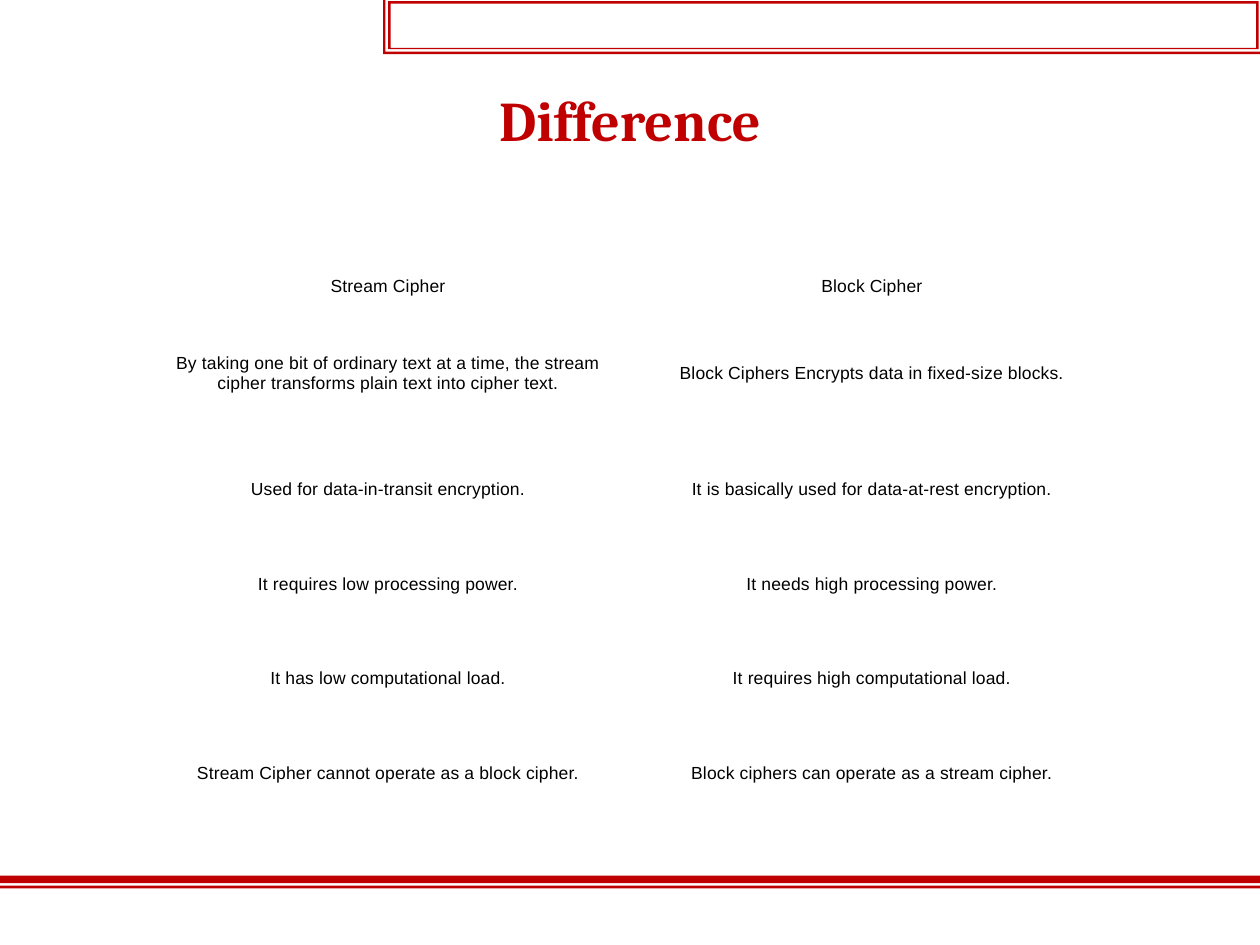
import pptx
import pptx.dml.color
import pptx.enum.text
import pptx.util
from dataclasses import dataclass

Inches = pptx.util.Inches
Anchor = pptx.enum.text.MSO_ANCHOR


@dataclass(frozen=True)
class Theme:
    accent: str = "C00000"
    ink: str = "000000"
    title_font: str = "Cambria"
    body_font: str = "Arial"
    title_size: int = 32
    body_size: int = 10


THEME = Theme()


def write_text(frame, text, *, font, size, color, bold=False, spacing=None):
    """Put one centred paragraph in a text frame."""
    paragraph = frame.paragraphs[0]
    paragraph.alignment = pptx.enum.text.PP_ALIGN.CENTER
    run = paragraph.add_run()
    run.text = text
    run.font.name = font
    run.font.size = pptx.util.Pt(size)
    run.font.bold = bold
    run.font.color.rgb = pptx.dml.color.RGBColor.from_string(color)
    if spacing is not None:
        run.font._element.set("spc", str(round(spacing * 100)))


def rectangle(left, top, right, bottom):
    return [(left, top), (right, top), (right, bottom), (left, bottom)]


class SlideBuilder:
    def __init__(self, slide, theme):
        self.slide = slide
        self.theme = theme

    def outline(self, *contours):
        """Fill closed contours as one shape; a contour inside another is a hole."""
        builder = None
        for contour in contours:
            points = [(Inches(x), Inches(y)) for x, y in contour]
            if builder is None:
                builder = self.slide.shapes.build_freeform(*points[0])
            else:
                builder.move_to(*points[0])
            builder.add_line_segments(points[1:], close=True)
        shape = builder.convert_to_shape()
        shape.shadow.inherit = False
        shape.fill.solid()
        shape.fill.fore_color.rgb = pptx.dml.color.RGBColor.from_string(self.theme.accent)
        shape.line.fill.background()

    def title(self, text, left, top, width, height):
        box = self.slide.shapes.add_textbox(
            Inches(left), Inches(top), Inches(width), Inches(height))
        frame = box.text_frame
        frame.word_wrap = True
        frame.margin_left = frame.margin_right = 0
        frame.margin_top = frame.margin_bottom = 0
        write_text(frame, text, font=self.theme.title_font,
                   size=self.theme.title_size, color=self.theme.accent, bold=True)

    def table(self, rows, left, top, column_width, row_heights):
        columns = len(rows[0])
        table = self.slide.shapes.add_table(
            len(rows), columns, Inches(left), Inches(top),
            Inches(column_width * columns), Inches(sum(row_heights))).table
        table.first_row = table.horz_banding = False
        for column in table.columns:
            column.width = Inches(column_width)
        for row_index, (texts, height) in enumerate(zip(rows, row_heights)):
            table.rows[row_index].height = Inches(height)
            heading = row_index == 0
            for column_index, text in enumerate(texts):
                cell = table.cell(row_index, column_index)
                cell.fill.background()
                side = 0.03 if heading and column_index == 0 else 0.07
                cell.margin_left = cell.margin_right = Inches(side)
                cell.margin_top = cell.margin_bottom = Inches(0.07 if heading else 0.1)
                cell.vertical_anchor = Anchor.BOTTOM if heading else Anchor.MIDDLE
                write_text(cell.text_frame, text, font=self.theme.body_font,
                           size=self.theme.body_size, color=self.theme.ink, spacing=0.1)


ROWS = [
    ("Stream Cipher", "Block Cipher"),
    ("By taking one bit of ordinary text at a time, the stream cipher "
     "transforms plain text into cipher text.",
     "Block Ciphers Encrypts data in fixed-size blocks."),
    ("Used for data-in-transit encryption.",
     "It is basically used for data-at-rest encryption."),
    ("It requires low processing power.", "It needs high processing power."),
    ("It has low computational load.", "It requires high computational load."),
    ("Stream Cipher cannot operate as a block cipher.",
     "Block ciphers can operate as a stream cipher."),
]


def main():
    presentation = pptx.Presentation()
    presentation.slide_width = Inches(10)
    presentation.slide_height = Inches(7.5)
    slide = presentation.slides.add_slide(presentation.slide_layouts[6])
    builder = SlideBuilder(slide, THEME)

    # Footer rules: thick above thin
    builder.outline(rectangle(0, 6.95, 10, 7.01), rectangle(0, 7.03, 10, 7.05))

    # Header frame: inner box, then the outer edge on its left and bottom
    builder.outline(
        rectangle(3.08, 0.01, 9.99, 0.39),
        rectangle(3.1, 0.03, 9.97, 0.38),
        [(3.04, 0), (3.06, 0), (3.06, 0.41), (10, 0.41), (10, 0.43), (3.04, 0.43)])

    # Title
    builder.title("Difference", 0.54, 0.68, 8.92, 0.54)

    # Comparison table
    builder.table(ROWS, 1.16, 1.79, 3.84, [0.63, 1.09] + [0.75] * 4)

    presentation.save("out.pptx")


if __name__ == "__main__":
    main()
